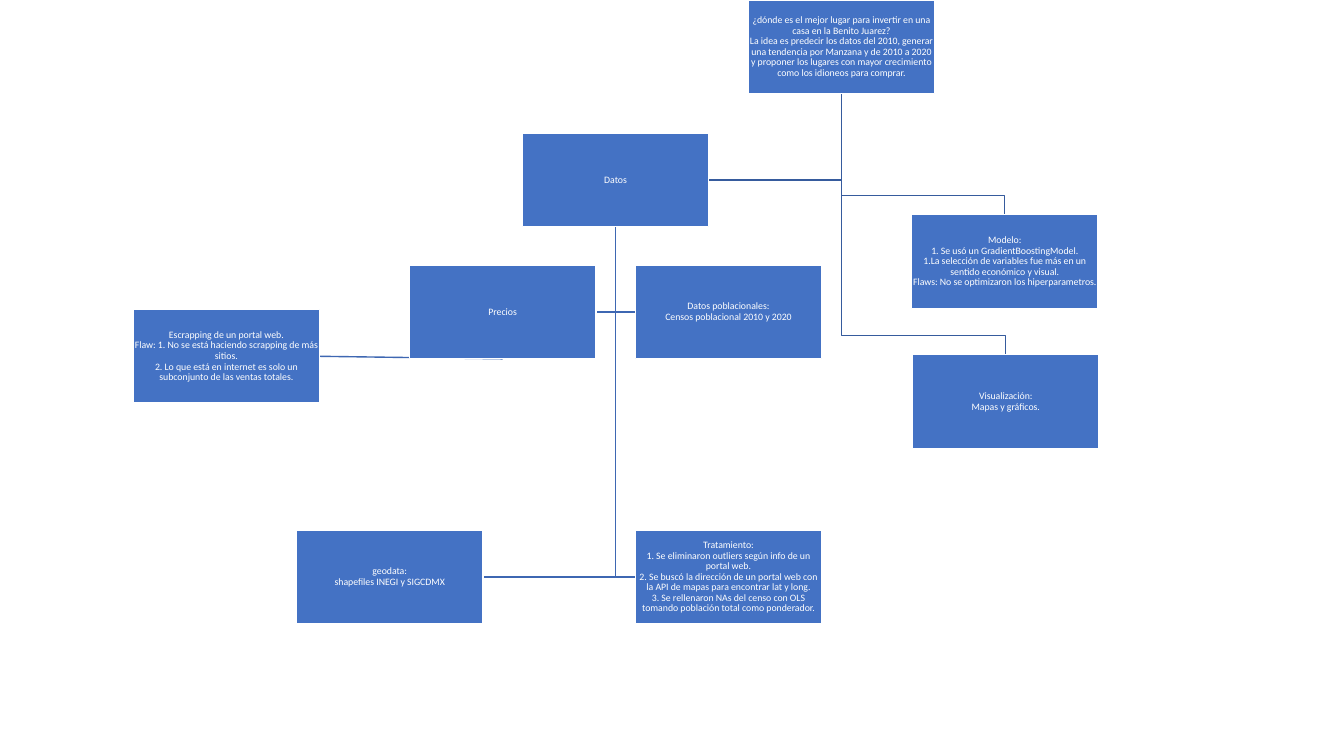
from lxml import etree
from pptx import Presentation
from pptx.dml.color import RGBColor
from pptx.enum.shapes import MSO_CONNECTOR, MSO_SHAPE
from pptx.enum.text import MSO_ANCHOR, PP_ALIGN
from pptx.oxml.ns import qn
from pptx.util import Inches, Pt

RECT, STRAIGHT = MSO_SHAPE.RECTANGLE, MSO_CONNECTOR.STRAIGHT
MIDDLE, CENTER = MSO_ANCHOR.MIDDLE, PP_ALIGN.CENTER
TOP, LEFT, BOTTOM, RIGHT = range(4)

BLUE, WHITE = "4472C4", "FFFFFF"
LINE_MAIN, LINE_SUB = "365B9D", "3E67B2"
BOX_W, BOX_H = 1.85, 0.93
BEND = 0.19  # height of the last bend above a box entered from its top

# name: (left, top, lines of text)
BOXES = {
    "pregunta": (7.42, 0, [
        "¿dónde es el mejor lugar para invertir en una casa en la Benito Juarez?",
        "La idea es predecir los datos del 2010, generar una tendencia por Manzana "
        "y de 2010 a 2020 y proponer los lugares con mayor crecimiento como los "
        "idioneos para comprar."]),
    "modelo": (9.04, 2.13, [
        "Modelo:",
        "1. Se usó un GradientBoostingModel.",
        "1.La selección de variables fue más en un sentido económico y visual.",
        "Flaws: No se optimizaron los hiperparametros."]),
    "visualizacion": (9.05, 3.52, ["Visualización:", "Mapas y gráficos."]),
    "datos": (5.18, 1.32, ["Datos"]),
    "precios": (4.06, 2.63, ["Precios"]),
    "escrapping": (1.32, 3.07, [
        "Escrapping de un portal web.",
        "Flaw: 1. No se está haciendo scrapping de más sitios.",
        "2. Lo que está en internet es solo un subconjunto de las ventas totales."]),
    "poblacion": (6.3, 2.63, ["Datos poblacionales:", "Censos poblacional 2010 y 2020"]),
    "geodata": (2.94, 5.26, ["geodata:", "shapefiles INEGI y SIGCDMX"]),
    "tratamiento": (6.3, 5.26, [
        "Tratamiento:",
        "1. Se eliminaron outliers según info de un portal web.",
        "2. Se buscó la dirección de un portal web con la API de mapas para "
        "encontrar lat y long.",
        "3. Se rellenaron NAs del censo con OLS tomando población total como "
        "ponderador."]),
}

# parent, child, side of the child where the line arrives, colour
ELBOWS = [
    ("datos", "tratamiento", LEFT, LINE_SUB),
    ("datos", "geodata", RIGHT, LINE_SUB),
    ("datos", "poblacion", LEFT, LINE_SUB),
    ("datos", "precios", RIGHT, LINE_SUB),
    ("pregunta", "datos", RIGHT, LINE_MAIN),
    ("pregunta", "visualizacion", TOP, LINE_MAIN),
    ("pregunta", "modelo", TOP, LINE_MAIN),
]


def rgb(color):
    return RGBColor.from_string(color)


def set_line(sp, color):
    sp.line.color.rgb = rgb(color)
    sp.line.width = Pt(1)


def side_point(name, side):
    """Middle of one side of a box, in inches."""
    x, y, _ = BOXES[name]
    return {TOP: (x + BOX_W / 2, y), LEFT: (x, y + BOX_H / 2),
            BOTTOM: (x + BOX_W / 2, y + BOX_H),
            RIGHT: (x + BOX_W, y + BOX_H / 2)}[side]


def add_elbow(shapes, parent, child, side, color):
    x0, y0 = side_point(parent, BOTTOM)
    x1, y1 = side_point(child, side)
    turn = y1 - BEND if side == TOP else y1
    points = [(x0, turn), (x1, turn)]
    if side == TOP:
        points.append((x1, y1))
    fb = shapes.build_freeform(Inches(x0), Inches(y0))
    fb.add_line_segments([(Inches(x), Inches(y)) for x, y in points], close=False)
    sp = fb.convert_to_shape()
    sp.shadow.inherit = False
    sp.fill.background()
    set_line(sp, color)


def add_box(shapes, left, top, lines):
    sp = shapes.add_shape(RECT, Inches(left), Inches(top), Inches(BOX_W), Inches(BOX_H))
    sp.shadow.inherit = False
    sp.fill.solid()
    sp.fill.fore_color.rgb = rgb(BLUE)
    set_line(sp, WHITE)
    tf = sp.text_frame
    tf.word_wrap = True
    tf.vertical_anchor = MIDDLE
    tf.margin_left = tf.margin_top = tf.margin_right = tf.margin_bottom = 0
    p = tf.paragraphs[0]
    p.alignment = CENTER
    p.line_spacing = 0.9
    p.font.size = Pt(7)
    for i, line in enumerate(lines):
        if i:
            p.add_line_break()
        r = p.add_run()
        r.text = line
        r.font.size = Pt(7)
        r.font.name = "Calibri"
        r.font.color.rgb = rgb(WHITE)
    return sp


def main():
    prs = Presentation()
    prs.slide_width, prs.slide_height = Inches(13.33), Inches(7.5)
    shapes = prs.slides.add_slide(prs.slide_layouts[6]).shapes

    for elbow in ELBOWS:
        add_elbow(shapes, *elbow)
    link = shapes.add_connector(STRAIGHT, 0, 0, 0, 0)
    boxes = {name: add_box(shapes, *box) for name, box in BOXES.items()}

    link.begin_connect(boxes["precios"], BOTTOM)
    link.end_connect(boxes["escrapping"], RIGHT)
    set_line(link, LINE_SUB)
    etree.SubElement(link._element.spPr, qn("a:effectLst"))

    prs.save("out.pptx")


if __name__ == "__main__":
    main()
